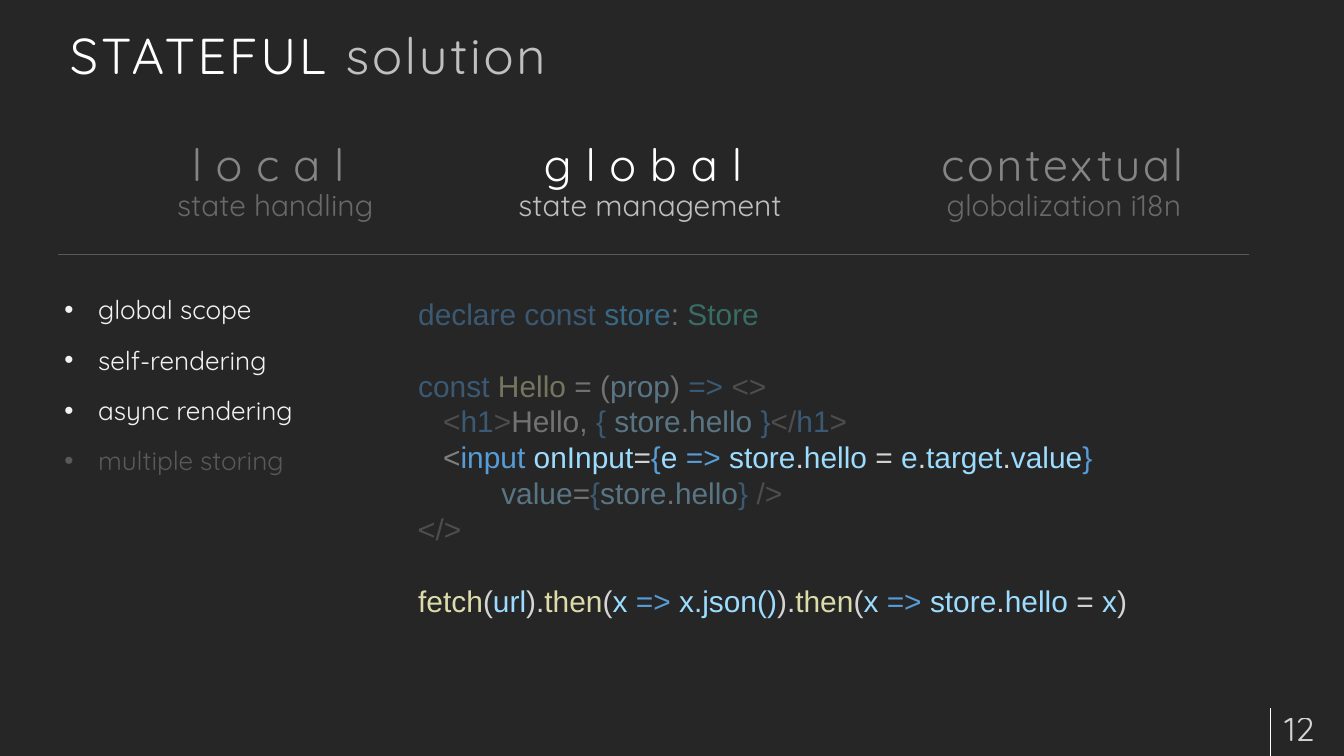
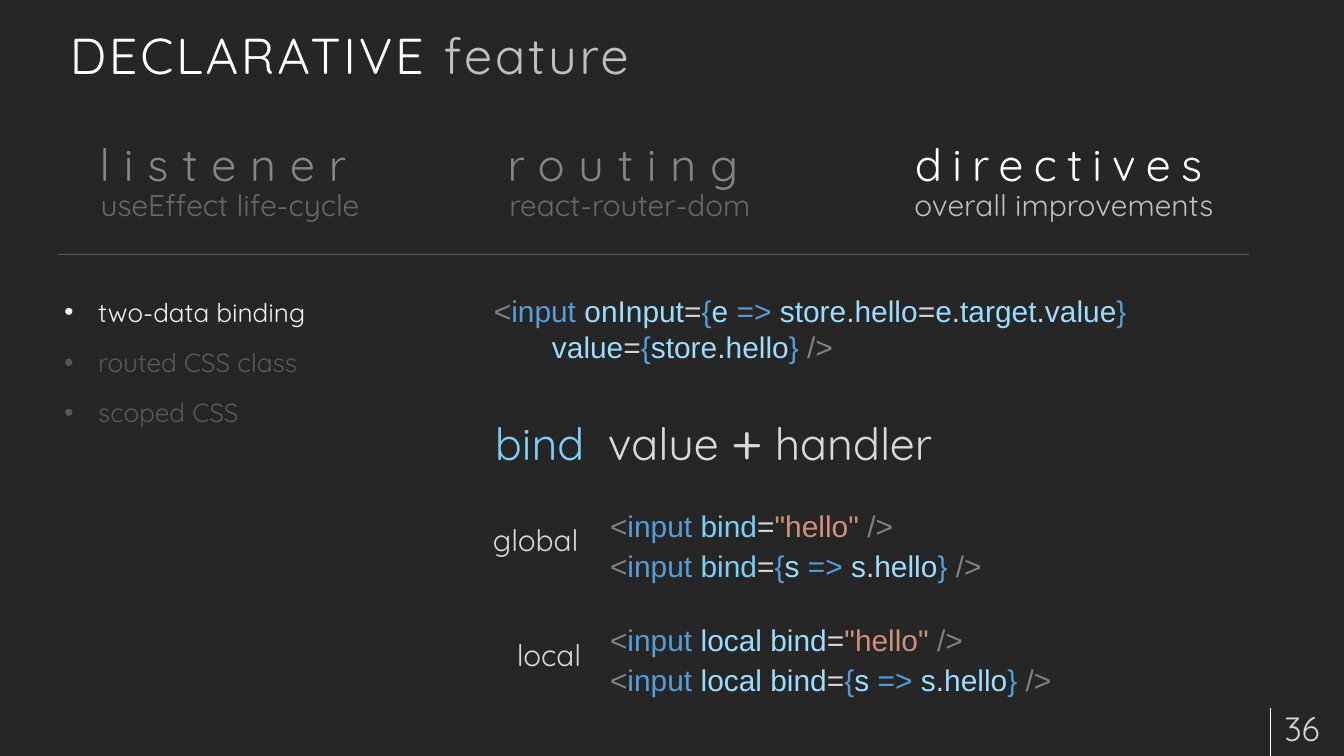
from pptx import Presentation
from pptx.dml.color import RGBColor
from pptx.enum.shapes import MSO_CONNECTOR as CONNECTOR, MSO_SHAPE as SHAPE
from pptx.enum.text import MSO_ANCHOR as ANCHOR, PP_ALIGN as ALIGN
from pptx.oxml.ns import qn
from pptx.util import Pt
from lxml.etree import SubElement

COLORS = {
    "bg": "262626", "white": "FFFFFF", "soft": "BFBFBF", "bullet": "F2F2F2",
    "dim": "595959", "label": "D9D9D9",
    # syntax colours, used as prefixes in code lines
    "kw": "569CD6", "id": "9CDCFE", "op": "D4D4D4", "tag": "808080",
    "fn": "DCDCAA", "str": "CE9178", "type": "4EC9B0", "const": "4FC1FF",
    "bind": "7BCFF5",
}
HEAD_FONT, CODE_FONT = "Quicksand", "Arial"
VEIL_ALPHA, NUMBER_ALPHA = 56, 80
INSET = (7.2, 3.6, 7.2, 3.6)
WIDE_INSET = (13, 6.5, 13, 6.5)
LABEL_INSET = (7.2, 7.2, 7.2, 3.6)
CODE_LINE = 38.4

TITLE_BOX = (62, 0, 1296, 97)
NUMBER_BOX = (1363, 759, 83, 43)
RULE_BOX = (62, 273, 1276, 0)
HEADER_TOP, HEADER_HEIGHT = 149, 93

# code fragments that recur
HELLO = "id:store|op:.|id:hello"
TARGET = "id:e|op:.|id:target|op:.|id:value|kw:}"
ON_INPUT = "tag:<|kw:input |id:onInput|op:=|kw:{|id:e |kw:=> |"
VALUE = f"id:value|op:=|kw:{{|{HELLO}|kw:}} |tag:/>"
GLOBAL_TAG = "tag:<|kw:input |bind:bind|op:=|"
LOCAL_TAG = "tag:<|kw:input |id:local bind|op:=|"
QUOTED = 'str:"hello" |tag:/>'
SELECTOR = "kw:{|id:s |kw:=> |id:s|op:.|id:hello|kw:} |tag:/>"

STORE_CODE = [
    "kw:declare const |const:store|op:: |type:Store",
    "kw:const |fn:Hello|op: = (|id:prop|op:) |kw:=> |tag:<>",
    f"op:   |tag:<|kw:h1|tag:>|op:Hello, |kw:{{ |{HELLO} |kw:}}|tag:</|kw:h1|tag:>",
    f"op:   |{ON_INPUT}{HELLO} |op:= |{TARGET}",
    f"op:          |{VALUE}",
    "tag:</>",
    "fn:fetch|op:(|id:url|op:).|fn:then|op:(|id:x |kw:=> |id:x.json()|op:).|"
    f"fn:then|op:(|id:x |kw:=> |{HELLO}|op: = |id:x|op:)",
]
INPUT_CODE = [f"{ON_INPUT}{HELLO}|op:=|{TARGET}", f"tag:       |{VALUE}"]


def rgb(name):
    return RGBColor.from_string(COLORS[name])


def points(box):
    return [Pt(v) for v in box]


def set_alpha(element, percent):
    for clr in element.iter(qn("a:srgbClr")):
        SubElement(clr, qn("a:alpha")).set("val", str(percent * 1000))


def add_bullet(p, indent=36):
    pPr = p._p.get_or_add_pPr()
    pPr.set("marL", str(Pt(indent)))
    pPr.set("indent", str(-Pt(indent)))
    SubElement(pPr, qn("a:buFont")).set("typeface", "Arial")
    SubElement(pPr, qn("a:buChar")).set("char", "•")


def add_run(p, text, *, font, size, color, spc=0, alpha=None):
    if text == "\n":
        p.add_line_break()
        return
    r = p.add_run()
    r.text = text
    r.font.name, r.font.size = font, Pt(size)
    r.font.color.rgb = rgb(color)
    if spc:
        r._r.get_or_add_rPr().set("spc", str(spc * 100))
    if alpha:
        set_alpha(r._r, alpha)


def add_text(s, box, paras, *, align=ALIGN.LEFT, anchor=ANCHOR.TOP, inset=INSET,
             spacing=None, gaps=None, bullet=False, **base):
    """Paragraphs are lists of (text, overrides); gaps maps index to space before."""
    tf = s.shapes.add_textbox(*points(box)).text_frame
    tf.word_wrap = True
    tf.vertical_anchor = anchor
    tf.margin_left, tf.margin_top, tf.margin_right, tf.margin_bottom = points(inset)
    for i, runs in enumerate(paras):
        p = tf.add_paragraph() if i else tf.paragraphs[0]
        if bullet:
            add_bullet(p)
        p.alignment = align
        if spacing:
            p.line_spacing = spacing
        if gaps and i in gaps:
            p.space_before = Pt(gaps[i])
        for text, over in runs:
            add_run(p, text, **{"font": HEAD_FONT, **base, **over})


def add_line(s, box, color):
    x, y, w, h = box
    line = s.shapes.add_connector(CONNECTOR.STRAIGHT, *points((x, y, x + w, y + h)))
    line.line.color.rgb = rgb(color)
    line.line.width = Pt(0.75)
    SubElement(line._element.spPr, qn("a:effectLst"))


def add_veil(s, box):
    """Translucent sheet in the background colour that dims what lies below."""
    sp = s.shapes.add_shape(SHAPE.RECTANGLE, *points(box))
    sp.shadow.inherit = False
    sp.fill.solid()
    sp.fill.fore_color.rgb = rgb("bg")
    sp.line.fill.background()
    set_alpha(sp._element.spPr, VEIL_ALPHA)


def add_title(s, box, strong, light):
    add_text(s, box, [[(strong + " ", {}), (light, {"color": "soft"})]],
             size=54, color="white", spc=3, anchor=ANCHOR.BOTTOM, inset=WIDE_INSET)


def add_number(s, box, number):
    x, y = box[:2]
    add_line(s, (x - 2, y, 0, 810 - y), "white")
    add_text(s, box, [[(number, {})]], size=36, color="white", alpha=NUMBER_ALPHA,
             anchor=ANCHOR.MIDDLE, inset=WIDE_INSET)


def add_header(s, box, head, sub, spc):
    add_text(s, box, [[(head, {"size": 48, "color": "white", "spc": spc}),
                       ("\n", {}), (sub, {})]],
             size=32, color="soft", align=ALIGN.CENTER, spacing=0.9)


def add_bullets(s, box, items, bright):
    paras = [[(item, {"color": "bullet" if i < bright else "dim"})]
             for i, item in enumerate(items)]
    add_text(s, box, paras, size=28, color="bullet", bullet=True, spacing=1.5,
             gaps=dict.fromkeys(range(1, len(items)), 3.5))


def add_code(s, box, lines, **fmt):
    """Each line is colour:text pieces joined by bars."""
    paras = []
    for line in lines:
        pieces = [piece.partition(":") for piece in line.split("|")]
        paras.append([(text, {"color": color}) for color, _, text in pieces])
    add_text(s, box, paras, font=CODE_FONT, size=32, **fmt)


def add_frame(prs, title, number, headers, veils):
    s = prs.slides.add_slide(prs.slide_layouts[6])
    add_title(s, TITLE_BOX, *title)
    add_number(s, NUMBER_BOX, number)
    add_line(s, RULE_BOX, "dim")
    for x, w, *words in headers:
        add_header(s, (x, HEADER_TOP, w, HEADER_HEIGHT), *words)
    for box in veils:
        add_veil(s, box)
    return s


def add_bind_summary(s, box):
    x, y, w, h = box
    add_text(s, (x, y, w, h),
             [[("bind", {"color": "bind"}), (" ", {"spc": 12}), ("value ", {}),
               ("+", {"size": 60}), (" handler", {})]],
             size=48, color="label", align=ALIGN.CENTER, anchor=ANCHOR.MIDDLE,
             inset=LABEL_INSET)


def add_scope(s, box, label, tag, widths):
    """Label on the left, the two ways to write the tag on the right."""
    x, y, w, h = box
    add_text(s, (x, y + 12, 216, 54), [[(label, {})]], size=32, color="label",
             align=ALIGN.RIGHT, inset=LABEL_INSET)
    for i, (binding, width) in enumerate(zip((QUOTED, SELECTOR), widths)):
        add_code(s, (x + w - 580, y + i * 43.2, width, 46), [tag + binding])


def build_stateful(prs):
    s = add_frame(
        prs, ("STATEFUL", "solution"), "12",
        [(148, 294, "local", "state handling", 15),
         (539, 315, "global", "state management", 15),
         (953, 374, "contextual", "globalization i18n", 3)],
        [(132, 130, 407, 131), (951, 124, 407, 131)])
    add_bullets(s, (62, 294.5, 342, 354),
                ["global scope", "self-rendering", "async rendering",
                 "multiple storing"], bright=3)
    add_code(s, (441, 313, 950, 356), STORE_CODE, spacing=Pt(CODE_LINE),
             gaps={1: CODE_LINE, 6: CODE_LINE})
    add_veil(s, (432, 293, 906, 178.5))
    add_veil(s, (450, 513.5, 906, 107))


def build_declarative(prs):
    s = add_frame(
        prs, ("DECLARATIVE", "feature"), "36",
        [(89, 315, "listener", "useEffect life-cycle", 15),
         (528, 294, "routing", "react-router-dom", 15),
         (953, 374, "directives", "overall improvements", 11)],
        [(37, 122, 833, 131)])
    add_bullets(s, (62, 297, 382, 306),
                ["two-data binding", "routed CSS class", "scoped CSS"], bright=1)
    add_code(s, (522, 310, 829, 85), INPUT_CODE)
    add_bind_summary(s, (503, 441, 523, 54))
    add_scope(s, (411, 540, 815.5, 89), "global", GLOBAL_TAG, (386, 483))
    add_scope(s, (414, 662.5, 812.5, 89), "local", LOCAL_TAG, (467, 580))


def main():
    prs = Presentation()
    prs.slide_width, prs.slide_height = Pt(1440), Pt(810)
    fill = prs.slide_master.background.fill
    fill.solid()
    fill.fore_color.rgb = rgb("bg")
    build_stateful(prs)
    build_declarative(prs)
    prs.save("out.pptx")


if __name__ == "__main__":
    main()
